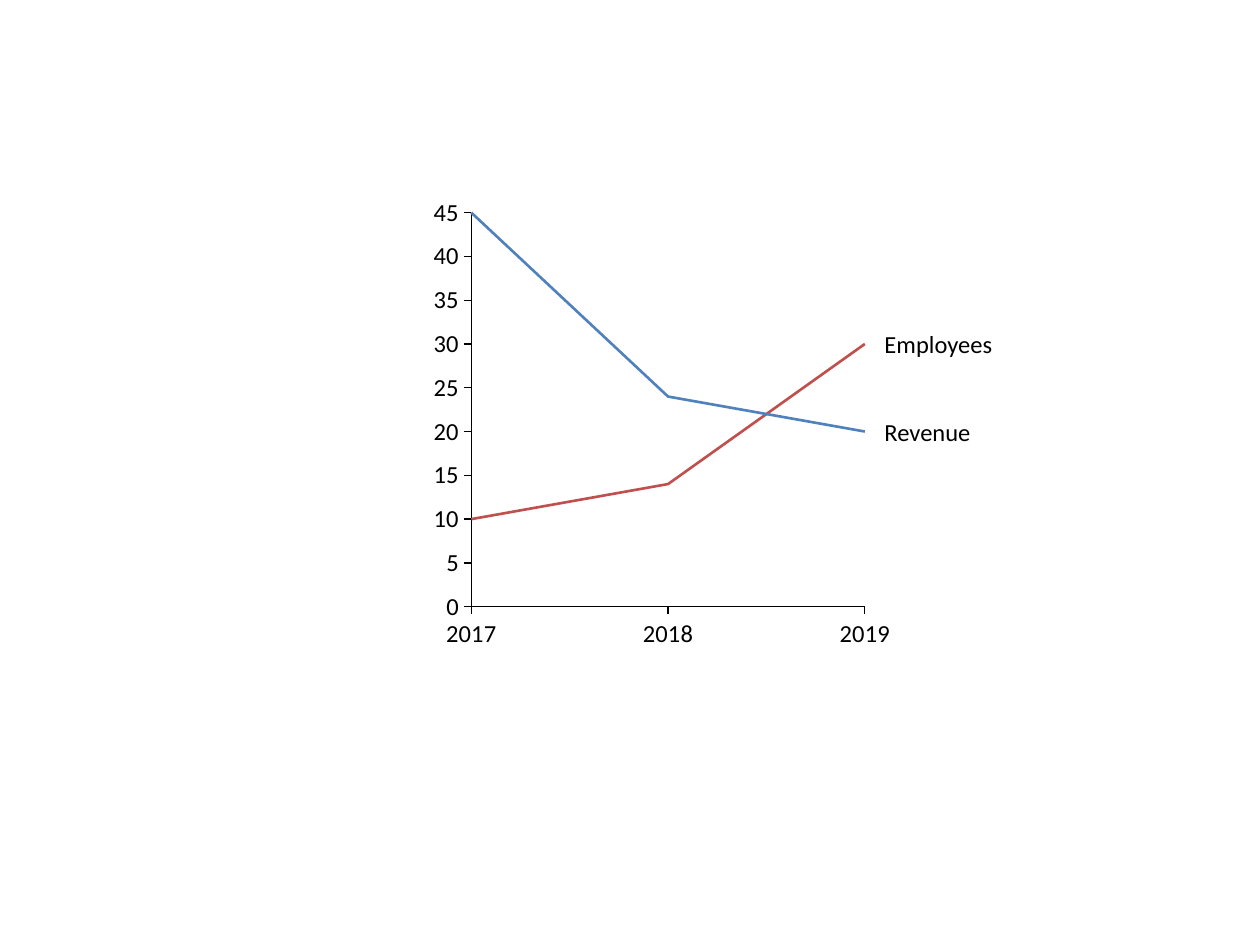
from dataclasses import dataclass
from typing import Any

from lxml import etree
from pptx import Presentation
from pptx.chart import data as cd
from pptx.dml import color as dc
from pptx.enum import chart as ch, text as tx
from pptx.util import Pt

HEX = {"ink": "000000", "blue": "4F81BD", "red": "C0504D"}
NS = "http://schemas.openxmlformats.org/drawingml/2006/chart"
YEARS = (2017, 2018, 2019)


@dataclass
class Trend:
    name: str
    label: str
    hue: str
    vals: tuple[int, ...]
    top: float
    width: float


@dataclass
class Scale:
    low: int
    high: int
    step: int
    form: str


TRENDS = [
    Trend("Series 1", "Revenue", "blue", (45, 24, 20), 238.5, 51),
    Trend("Series 2", "Employees", "red", (10, 14, 30), 188, 63),
]


def apply(item: Any, vals: dict[str, Any]) -> None:
    for key, val in vals.items():
        setattr(item, key, val)


def tint(key: str) -> dc.RGBColor:
    return dc.RGBColor.from_string(HEX[key])


def set_font(font: Any) -> None:
    apply(font, {"name": "Calibri", "size": Pt(14), "bold": False})
    font.color.rgb = tint("ink")


def set_line(line: Any, hue: str, width: float) -> None:
    line.color.rgb = tint(hue)
    line.width = Pt(width)


def set_axis(axis: Any, scale: Scale) -> None:
    apply(axis, {
        "minimum_scale": scale.low,
        "maximum_scale": scale.high,
        "major_unit": scale.step,
        "has_major_gridlines": False,
        "has_minor_gridlines": False,
        "has_title": False,
        "major_tick_mark": ch.XL_TICK_MARK.OUTSIDE,
        "minor_tick_mark": ch.XL_TICK_MARK.NONE,
    })
    set_line(axis.format.line, "ink", 0.75)
    apply(axis.tick_labels, {
        "number_format": scale.form,
        "number_format_is_linked": False,
    })
    set_font(axis.tick_labels.font)


def set_plot(chart: Any, rule: dict[str, Any]) -> None:
    area = chart.element.find(f".//{{{NS}}}plotArea")
    for old in area.findall(f"{{{NS}}}layout"):
        area.remove(old)
    frame = etree.Element(f"{{{NS}}}layout")
    area.insert(0, frame)
    man = etree.SubElement(frame, f"{{{NS}}}manualLayout")
    for key, val in rule.items():
        etree.SubElement(man, f"{{{NS}}}{key}").set("val", str(val))


def add_trends(slide: Any) -> None:
    data = cd.XyChartData()
    for trend in TRENDS:
        row = data.add_series(trend.name)
        for year, val in zip(YEARS, trend.vals):
            row.add_data_point(year, val)
    chart = slide.shapes.add_chart(
        ch.XL_CHART_TYPE.XY_SCATTER_LINES_NO_MARKERS,
        Pt(234), Pt(111.5), Pt(287.3), Pt(265), data,
    ).chart
    apply(chart, {"has_title": False, "has_legend": False})
    set_font(chart.font)
    chart.font.size = Pt(10)
    set_axis(chart.category_axis, Scale(2017, 2019, 1, '0;"-"0'))
    set_axis(chart.value_axis, Scale(0, 45, 5, '#,##0;"-"#,##0'))
    chart.plots[0].vary_by_categories = False
    for row, trend in zip(chart.plots[0].series, TRENDS):
        set_line(row.format.line, trend.hue, 1.5)
        row.marker.style = ch.XL_MARKER_STYLE.NONE
    set_plot(chart, {
        "layoutTarget": "inner", "xMode": "edge", "yMode": "edge",
        "x": 0.123, "y": 0.038, "w": 0.783, "h": 0.85,
    })


def add_label(slide: Any, trend: Trend) -> None:
    box = slide.shapes.add_textbox(
        Pt(505.4), Pt(trend.top), Pt(trend.width), Pt(16.6))
    frame = box.text_frame
    apply(frame, {
        "margin_left": 0, "margin_right": 0,
        "margin_top": 0, "margin_bottom": 0,
        "word_wrap": False,
        "vertical_anchor": tx.MSO_ANCHOR.MIDDLE,
    })
    line = frame.paragraphs[0]
    line.alignment = tx.PP_ALIGN.LEFT
    run = line.add_run()
    run.text = trend.label
    set_font(run.font)


def main() -> None:
    deck = Presentation()
    apply(deck, {"slide_width": Pt(720), "slide_height": Pt(540)})
    slide = deck.slides.add_slide(deck.slide_layouts[6])
    add_trends(slide)
    for trend in reversed(TRENDS):
        add_label(slide, trend)
    deck.save("out.pptx")


main()
